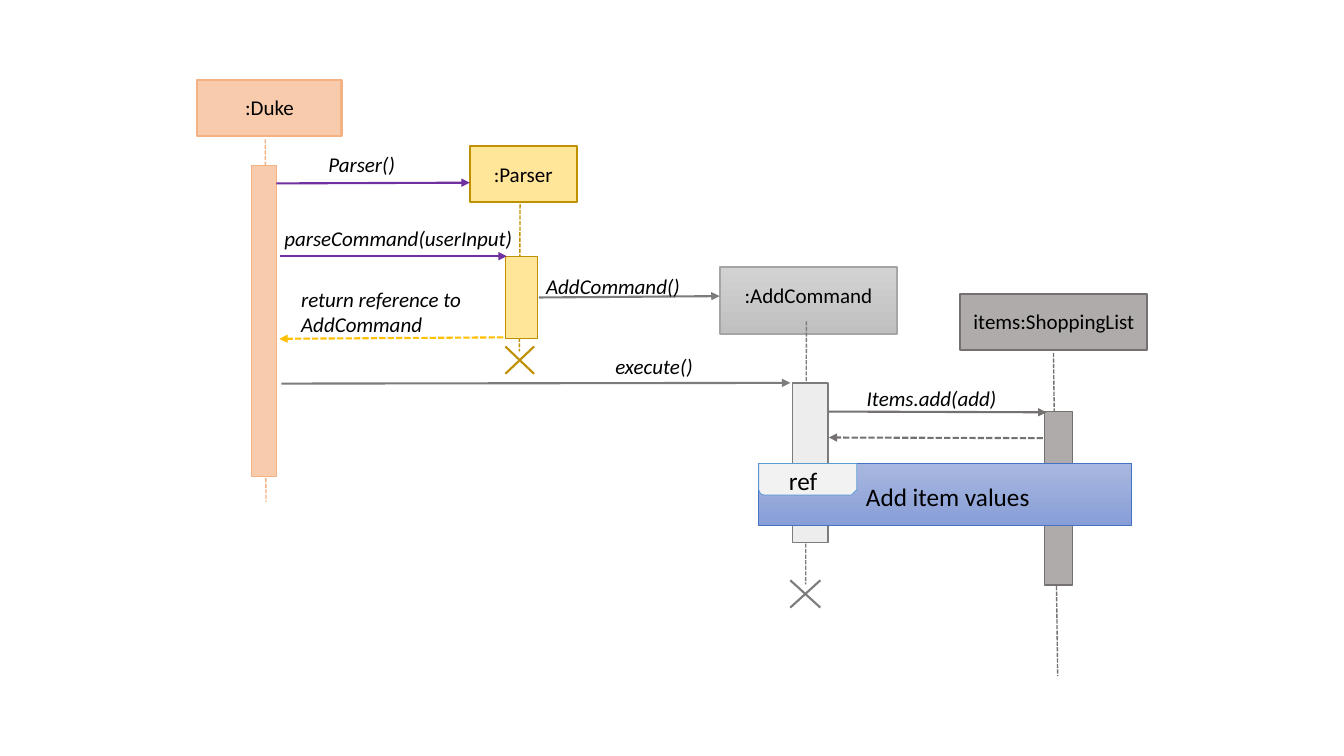
"""Builds a sequence diagram slide for adding an item to a shopping list."""
from dataclasses import dataclass

from lxml import etree
from pptx import Presentation
from pptx.dml.color import RGBColor
from pptx.enum.dml import MSO_LINE
from pptx.enum.shapes import MSO_CONNECTOR, MSO_SHAPE
from pptx.enum.text import MSO_ANCHOR, PP_ALIGN
from pptx.oxml.ns import qn
from pptx.shapes.autoshape import Shape
from pptx.slide import Slide
from pptx.util import Pt

STRAIGHT = MSO_CONNECTOR.STRAIGHT
DASH = MSO_LINE.SQUARE_DOT
RECTANGLE = MSO_SHAPE.RECTANGLE
SNIP_ROUND = MSO_SHAPE.SNIP_ROUND_RECTANGLE
TOP = MSO_ANCHOR.TOP
CENTER = PP_ALIGN.CENTER
LEFT = PP_ALIGN.LEFT

FONT = "Calibri"
BLACK = "000000"
PURPLE = "7030A0"
GRAY = "7C7C7C"
DARK_GRAY = "767171"
GOLD = "BF9000"
PEACH = "F4B183"

Box = tuple[float, float, float, float]


@dataclass(frozen=True)
class Participant:
    """A named header, its lifeline and its activation bar."""
    name: str
    header: Box
    header_fill: tuple[str, ...]
    header_line: str
    lifeline: Box
    activation: Box
    activation_fill: str
    color: str


@dataclass(frozen=True)
class Message:
    """An arrow between two lifelines, from start to end."""
    ends: Box
    color: str
    dashed: bool = False


@dataclass(frozen=True)
class Label:
    """A piece of text in its own box."""
    text: str
    box: Box
    size: int = 15
    italic: bool = True
    wrap: bool = True


PARTICIPANTS = [
    Participant(":Duke", (141, 57, 103, 40), ("F8CBAD",), PEACH,
                (189.5, 99.5, 190, 358.5), (179.5, 118, 18, 222.5), "F8CBAD", PEACH),
    Participant(":Parser", (335.5, 104.5, 76.5, 40), ("FFE699",), GOLD,
                (371.5, 146, 371, 251), (361, 183, 23, 59), "FFE699", GOLD),
    Participant(":AddCommand", (514, 191, 127, 47.5), ("D2D2D2", "C0C0C0"), "A5A5A5",
                (576, 229.5, 575.5, 417.5), (566, 273.5, 25.5, 114), "EDEDED", GRAY),
    Participant("items:ShoppingList", (686, 210, 133.5, 40), ("AFABAB",), DARK_GRAY,
                (752.5, 252, 755.5, 483), (746, 294, 20, 124), "AFABAB", DARK_GRAY),
]

MESSAGES = [
    Message((197.5, 131, 335.5, 130.5), PURPLE),
    Message((200, 183, 362, 183), PURPLE),
    Message((385, 212.5, 514, 211.5), GRAY),
    Message((359.5, 241, 199.5, 242), "FFC000", dashed=True),
    Message((201, 274, 564.5, 273.5), GRAY),
    Message((592, 294, 747.5, 294.5), DARK_GRAY),
    Message((745, 313, 592, 312.5), DARK_GRAY, dashed=True),
]

MESSAGE_LABELS = [
    Label("Parser()", (227.5, 105, 93.5, 21.5)),
    Label("parseCommand(userInput)", (196, 157.5, 198, 21.5)),
    Label("AddCommand()", (383, 191.5, 168.5, 25)),
    Label("return reference to AddCommand", (208, 201, 135.5, 44)),
    Label("execute()", (432.5, 249, 74, 21.5)),
    Label("Items.add(add)", (612, 272, 125.5, 25)),
]

DESTRUCTIONS = [
    ((361, 247.5, 381.5, 267), GOLD),
    ((564.5, 414.5, 586, 434), GRAY),
]

FRAME_LABELS = [
    Label("ref", (556.5, 329, 41, 43), 18, italic=False),
    Label("Add item values", (611.5, 340.5, 132.5, 29), 18, italic=False, wrap=False),
]


def color_of(value: str) -> RGBColor:
    """Turn a hex string into a colour."""
    return RGBColor.from_string(value)


def add_box(slide: Slide, box: Box, fills: tuple[str, ...], line: str,
            width: float, preset: MSO_SHAPE = RECTANGLE) -> Shape:
    """Draw an outlined shape with a solid fill or a top-down gradient."""
    shape = slide.shapes.add_shape(preset, *map(Pt, box))
    shape.shadow.inherit = False
    if len(fills) == 1:
        shape.fill.solid()
        shape.fill.fore_color.rgb = color_of(fills[0])
    else:
        shape.fill.gradient()
        shape.fill.gradient_angle = 270
        for stop, value in zip(shape.fill.gradient_stops, fills):
            stop.color.rgb = color_of(value)
    shape.line.color.rgb = color_of(line)
    shape.line.width = Pt(width)
    return shape


def add_line(slide: Slide, ends: Box, color: str, width: float = 1.5,
             dashed: bool = False, arrow: bool = False) -> None:
    """Draw a straight line, dashed or with an arrowhead at its end if asked."""
    connector = slide.shapes.add_connector(STRAIGHT, *map(Pt, ends))
    connector.line.color.rgb = color_of(color)
    connector.line.width = Pt(width)
    if dashed:
        connector.line.dash_style = DASH
    properties = connector._element.spPr
    if arrow:
        outline = properties.find(qn("a:ln"))
        etree.SubElement(outline, qn("a:tailEnd"), type="triangle")
    etree.SubElement(properties, qn("a:effectLst"))


def write_text(shape: Shape, text: str, size: int, italic: bool = False,
               alignment: PP_ALIGN = LEFT) -> None:
    """Put one formatted paragraph at the top of a shape."""
    frame = shape.text_frame
    frame.text = text
    frame.vertical_anchor = TOP
    paragraph = frame.paragraphs[0]
    paragraph.alignment = alignment
    font = paragraph.runs[0].font
    font.name = FONT
    font.size = Pt(size)
    font.italic = italic
    font.color.rgb = color_of(BLACK)


def add_label(slide: Slide, label: Label) -> None:
    """Draw a label in a text box."""
    shape = slide.shapes.add_textbox(*map(Pt, label.box))
    shape.text_frame.word_wrap = label.wrap
    write_text(shape, label.text, label.size, label.italic)


def add_header(slide: Slide, participant: Participant) -> None:
    """Draw the named box at the top of a lifeline."""
    shape = add_box(slide, participant.header, participant.header_fill,
                    participant.header_line, 1.5)
    shape.text_frame.margin_top = Pt(10.7)
    shape.text_frame.margin_bottom = Pt(0)
    write_text(shape, participant.name, 15, alignment=CENTER)


def add_reference_frame(slide: Slide) -> None:
    """Draw the reference frame with its corner tab and texts."""
    add_box(slide, (542, 331, 266.5, 44.5), ("A8B7DF", "889ED7"), "4472C4", 0.5)
    tab = add_box(slide, (542, 331, 70, 22.5), ("F2F2F2",), "5B9BD5", 0.5, SNIP_ROUND)
    tab.rotation = 180
    tab._element.spPr.find(qn("a:xfrm")).set("flipH", "1")
    for label in FRAME_LABELS:
        add_label(slide, label)


def main() -> None:
    """Build and save the presentation."""
    presentation = Presentation()
    presentation.slide_width = Pt(960)
    presentation.slide_height = Pt(540)
    slide = presentation.slides.add_slide(presentation.slide_layouts[6])
    for participant in PARTICIPANTS:
        add_header(slide, participant)
        add_line(slide, participant.lifeline, participant.color, 1, dashed=True)
        add_box(slide, participant.activation, (participant.activation_fill,),
                participant.color, 1)
    for message in MESSAGES:
        add_line(slide, message.ends, message.color, dashed=message.dashed, arrow=True)
    for label in MESSAGE_LABELS:
        add_label(slide, label)
    for (left, top, right, bottom), color in DESTRUCTIONS:
        add_line(slide, (left, top, right, bottom), color)
        add_line(slide, (left, bottom, right, top), color)
    add_reference_frame(slide)
    presentation.save("out.pptx")


main()
